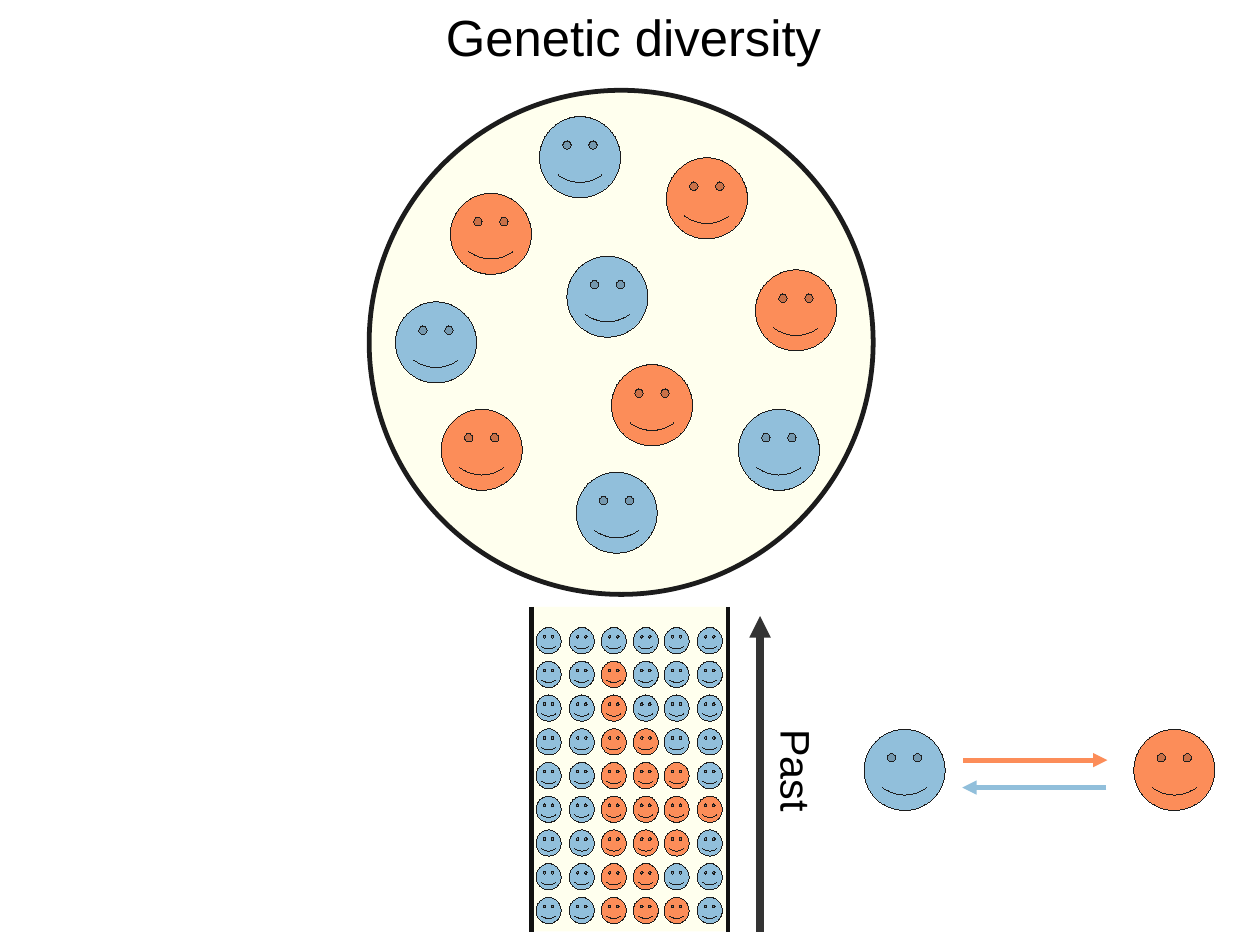
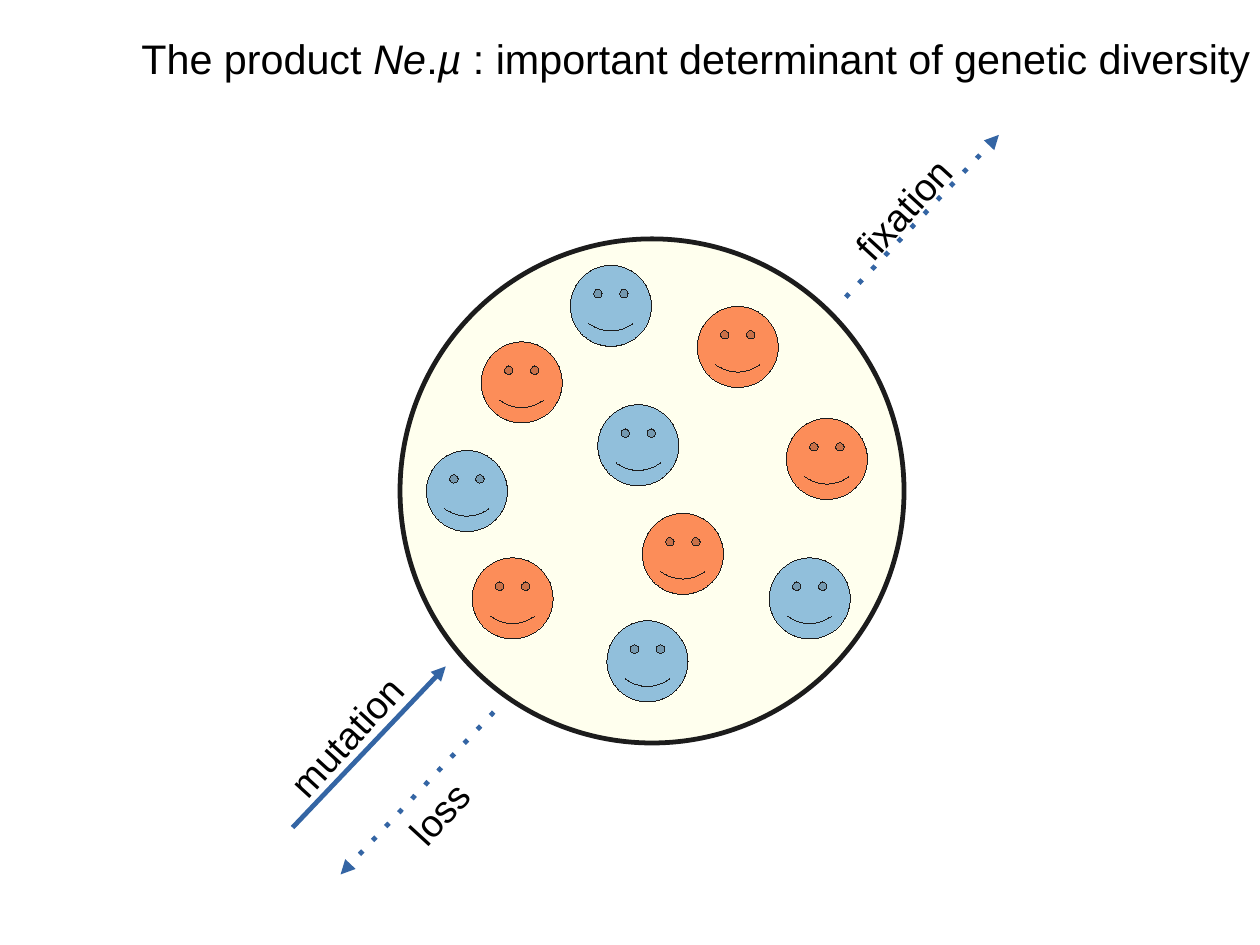
import pptx
import pptx.util
import pptx.dml.color
import pptx.enum.shapes
import pptx.enum.text
import pptx.oxml.ns
import lxml.etree

Inches = pptx.util.Inches
Pt = pptx.util.Pt
SHAPES = pptx.enum.shapes.MSO_SHAPE

COLORS = {
    "blue": "91BFDB", "orange": "FC8D59", "pool": "FFFFBF", "outline": "1C1C1C",
    "wall": "111111", "time": "333333", "flow": "3465A4", "text": "000000",
}
FONT = "Arial"
POINTS_PER_INCH = 72
PAGE_POINTS = (793.75, 595.25)
POOL_SIZE = 4.41
FACE_SIZE = 0.71
POOL_OPACITY = 26
FACE_COLORS = {"B": "blue", "O": "orange"}

POOL_FACES = [
    (0.71, 0.90, "O"), (2.12, 2.40, "O"), (2.60, 0.59, "O"), (3.38, 1.57, "O"),
    (1.49, 0.23, "B"), (0.63, 2.79, "O"), (3.23, 2.79, "B"), (0.23, 1.85, "B"),
    (1.73, 1.45, "B"), (1.81, 3.34, "B"),
]
GENERATIONS = ["BBBBBB", "BBOBBB", "BBOBBB", "BBOOBB", "BBOOOB",
               "BBOOOO", "BBOOOB", "BBOOBB", "BBOOOB"]
LINEAGE_LEFTS = [4.69, 4.98, 5.26, 5.54, 5.81, 6.10]
FIRST_ROW, LAST_ROW = 5.49, 7.85
COLUMN_LEFT, COLUMN_RIGHT, COLUMN_TOP, COLUMN_BOTTOM = 4.65, 6.37, 5.31, 8.15

MUTATION_FACES = [(7.56, "B"), (9.92, "O")]
MUTATION_ARROWS = [((8.43, 6.65), (9.69, 6.65), "orange"),
                   ((9.68, 6.89), (8.42, 6.89), "blue")]
FLOWS = [
    ("mutation", (2.28, 6.12, 1.64, 0.55), (2.56, 7.24), (3.90, 5.83), False),
    ("fixation", (7.27, 1.52, 1.38, 0.55), (7.40, 2.60), (8.74, 1.18), True),
    ("loss", (3.46, 6.85, 0.80, 0.55), (4.32, 6.23), (2.98, 7.65), True),
]
DIVERSITY_TITLE = [("Genetic diversity", False)]
PRODUCT_TITLE = [("The product ", False), ("Ne", True), (".", False), ("µ", True),
                 (" : important determinant of genetic diversity", False)]


def rgb(name):
    return pptx.dml.color.RGBColor.from_string(COLORS[name])


def add_child(parent, tag, **attributes):
    return lxml.etree.SubElement(parent, pptx.oxml.ns.qn(tag), attributes)


def add_shape(page, kind, area, fill, line_width=None, opacity=None):
    shape = page.shapes.add_shape(kind, *map(Inches, area))
    shape.shadow.inherit = False
    shape.fill.solid()
    shape.fill.fore_color.rgb = rgb(fill)
    if opacity is not None:
        color = shape.fill._xPr.find(".//" + pptx.oxml.ns.qn("a:srgbClr"))
        add_child(color, "a:alpha", val=str(opacity * 1000))
    if line_width is None:
        shape.line.fill.background()
    else:
        shape.line.color.rgb = rgb("outline")
        shape.line._get_or_add_ln().set("w", str(Pt(line_width)))
    return shape


def add_face(page, left, top, kind, width=FACE_SIZE, height=FACE_SIZE):
    add_shape(page, SHAPES.SMILEY_FACE, (left, top, width, height), FACE_COLORS[kind], 0)


def add_line(page, start, end, color, width=3, arrow=True, dotted=False):
    line = page.shapes.add_connector(
        pptx.enum.shapes.MSO_CONNECTOR.STRAIGHT, *map(Inches, start + end))
    line.line.color.rgb = rgb(color)
    line.line.width = Pt(width)
    outline = line.line._get_or_add_ln()
    if dotted:
        add_child(outline, "a:prstDash", val="dot")
    if arrow:
        add_child(outline, "a:tailEnd", type="triangle")
    add_child(line._element.spPr, "a:effectLst")


def add_text(page, area, spans, size, rotation=0, centered=False, wrap=False):
    box = page.shapes.add_textbox(*map(Inches, area))
    box.rotation = rotation
    box.text_frame.word_wrap = wrap
    box.text_frame.auto_size = pptx.enum.text.MSO_AUTO_SIZE.SHAPE_TO_FIT_TEXT
    para = box.text_frame.paragraphs[0]
    if centered:
        para.alignment = pptx.enum.text.PP_ALIGN.CENTER
    para.font.name = FONT
    para.font.size = Pt(size)
    para.font.color.rgb = rgb("text")
    for text, italic in spans:
        span = para.add_run()
        span.text = text
        span.font.name = FONT
        span.font.size = Pt(size)
        span.font.color.rgb = rgb("text")
        if italic:
            span.font.italic = True


def add_population(page, left, top):
    add_shape(page, SHAPES.OVAL, (left, top, POOL_SIZE, POOL_SIZE), "pool", 3, POOL_OPACITY)
    for across, down, kind in POOL_FACES:
        add_face(page, left + across, top + down, kind)


def add_history(page):
    area = (COLUMN_LEFT, COLUMN_TOP, COLUMN_RIGHT - COLUMN_LEFT, COLUMN_BOTTOM - COLUMN_TOP)
    add_shape(page, SHAPES.RECTANGLE, area, "pool", opacity=POOL_OPACITY)
    for wall in (COLUMN_LEFT, COLUMN_RIGHT):
        add_line(page, (wall, COLUMN_TOP), (wall, COLUMN_BOTTOM), "wall", arrow=False)
    step = (LAST_ROW - FIRST_ROW) / (len(GENERATIONS) - 1)
    for row, generation in enumerate(GENERATIONS):
        for left, kind in zip(LINEAGE_LEFTS, generation):
            add_face(page, left, FIRST_ROW + row * step, kind, 0.22, 0.23)
    add_line(page, (6.65, COLUMN_BOTTOM), (6.65, 5.39), "time", 4.5)
    add_text(page, (6.52, 6.5, 0.94, 0.5), [("Past", False)], 26, rotation=90)


def build_diversity(page):
    add_population(page, 3.23, 0.79)
    for left, kind in MUTATION_FACES:
        add_face(page, left, 6.38, kind)
    for start, end, color in MUTATION_ARROWS:
        add_line(page, start, end, color)
    add_history(page)
    add_text(page, (0.07, 0, 10.95, 0.7), DIVERSITY_TITLE, 32, centered=True, wrap=True)


def build_product(page):
    add_population(page, 3.5, 2.09)
    for label, area, start, end, dotted in FLOWS:
        add_line(page, start, end, "flow", dotted=dotted)
        add_text(page, area, [(label, False)], 24, rotation=312.5)
    add_text(page, (0.79, 0.24, 10.61, 0.59), PRODUCT_TITLE, 26, centered=True)


def main():
    deck = pptx.Presentation()
    deck.slide_width, deck.slide_height = (
        Inches(points / POINTS_PER_INCH) for points in PAGE_POINTS)
    for build in (build_diversity, build_product):
        build(deck.slides.add_slide(deck.slide_layouts[6]))
    deck.save("out.pptx")


if __name__ == "__main__":
    main()
